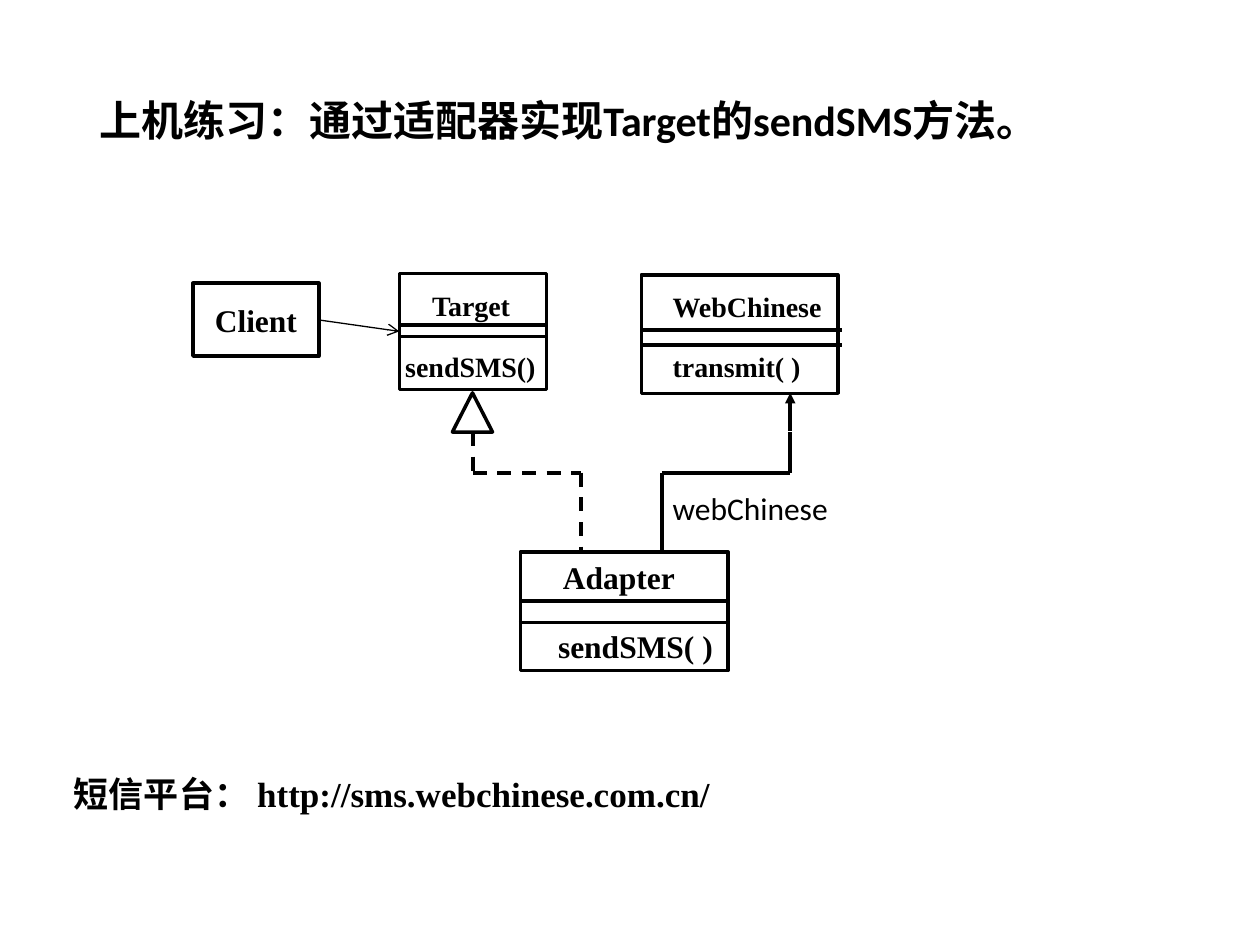
import pptx
import pptx.util
import pptx.dml.color
import pptx.enum.dml
import pptx.enum.shapes
import pptx.enum.text
import pptx.oxml.ns
from lxml import etree

Cm = pptx.util.Cm
Pt = pptx.util.Pt
BLACK = pptx.dml.color.RGBColor(0, 0, 0)
SHAPES = pptx.enum.shapes.MSO_SHAPE
ALIGN = pptx.enum.text.PP_ALIGN
ANCHOR = pptx.enum.text.MSO_ANCHOR
SERIF = "Times New Roman"
SANS = "Calibri"

deck = pptx.Presentation()
deck.slide_width = Cm(25.4)
deck.slide_height = Cm(19.05)
page = deck.slides.add_slide(deck.slide_layouts[5])


def write(box, text, size, font=SERIF, bold=True, wrap=False, align=ALIGN.LEFT, anchor=ANCHOR.TOP):
    frame = box.text_frame
    frame.word_wrap = wrap
    frame.auto_size = pptx.enum.text.MSO_AUTO_SIZE.NONE
    frame.vertical_anchor = anchor
    para = frame.paragraphs[0]
    para.alignment = align
    span = para.add_run()
    span.text = text
    span.font.name = font
    span.font.size = Pt(size)
    span.font.bold = bold
    span.font.color.rgb = BLACK


def draw_line(x1, y1, x2, y2, width=2, dashed=False, head=None):
    line = page.shapes.add_connector(
        pptx.enum.shapes.MSO_CONNECTOR.STRAIGHT, Cm(x1), Cm(y1), Cm(x2), Cm(y2))
    line.line.color.rgb = BLACK
    line.line.width = Pt(width)
    if dashed:
        line.line.dash_style = pptx.enum.dml.MSO_LINE.DASH
    if head:
        outline = line.line._get_or_add_ln()
        etree.SubElement(outline, pptx.oxml.ns.qn("a:tailEnd"), type=head)
    etree.SubElement(line._element.spPr, pptx.oxml.ns.qn("a:effectLst"))


title = page.shapes.title
title.left, title.top, title.width, title.height = Cm(1.75), Cm(1.78), Cm(20.35), Cm(1.27)
write(title, "上机练习：通过适配器实现Target的sendSMS方法。", 24, font=SANS)

outlines = {}
for name, shape, left, top, width, height in [
    ("client", SHAPES.RECTANGLE, 3.89, 5.71, 2.54, 1.47),
    ("target", SHAPES.RECTANGLE, 8.05, 5.51, 2.97, 2.34),
    ("service", SHAPES.RECTANGLE, 12.93, 5.54, 3.96, 2.39),
    ("adapter", SHAPES.RECTANGLE, 10.49, 11.13, 4.19, 2.39),
    ("inheritance", SHAPES.ISOSCELES_TRIANGLE, 9.12, 7.92, 0.81, 0.79),
]:
    outline = page.shapes.add_shape(shape, Cm(left), Cm(top), Cm(width), Cm(height))
    outline.shadow.inherit = False
    outline.fill.background()
    outline.line.color.rgb = BLACK
    outline.line.width = Pt(2)
    outlines[name] = outline
write(outlines["client"], "Client", 18, wrap=True, align=ALIGN.CENTER, anchor=ANCHOR.MIDDLE)

for left, right, y in [
    (8.05, 11, 6.55), (8.05, 11, 6.78),
    (12.93, 16.97, 6.65), (12.93, 16.97, 6.96),
    (10.49, 14.7, 12.12), (10.46, 14.66, 12.55),
]:
    draw_line(left, y, right, y)

draw_line(6.43, 6.45, 8.05, 6.68, width=0.75, head="arrow")

for corners, dashed in [
    ([(9.53, 8.71), (9.53, 9.53), (11.71, 9.53), (11.71, 11.13)], True),
    ([(15.93, 8.71), (15.93, 9.53), (13.34, 9.53), (13.34, 11.13)], False),
]:
    for start, end in zip(corners, corners[1:]):
        draw_line(*start, *end, dashed=dashed)
draw_line(15.93, 8.69, 15.93, 7.92, head="triangle")

for text, left, top, width, height, style in [
    ("Target", 8.46, 5.69, 2.13, 0.94, {"size": 16}),
    ("sendSMS()", 7.92, 6.93, 3.12, 0.94, {"size": 16}),
    ("WebChinese", 13.31, 5.72, 3.63, 0.94, {"size": 16, "wrap": True}),
    ("transmit( )", 13.31, 6.93, 3.61, 0.94, {"size": 16, "wrap": True}),
    ("Adapter", 11.1, 11.13, 2.77, 1.02, {"size": 18}),
    ("sendSMS( )", 11, 12.52, 3.68, 1.02, {"size": 18, "wrap": True}),
    ("webChinese", 13.31, 9.73, 3.63, 1.02, {"size": 18, "font": SANS, "bold": False}),
    ("短信平台： http://sms.webchinese.com.cn/", 1.24, 15.44, 13.51, 1.12, {"size": 20}),
]:
    box = page.shapes.add_textbox(Cm(left), Cm(top), Cm(width), Cm(height))
    write(box, text, **style)

deck.save("out.pptx")
